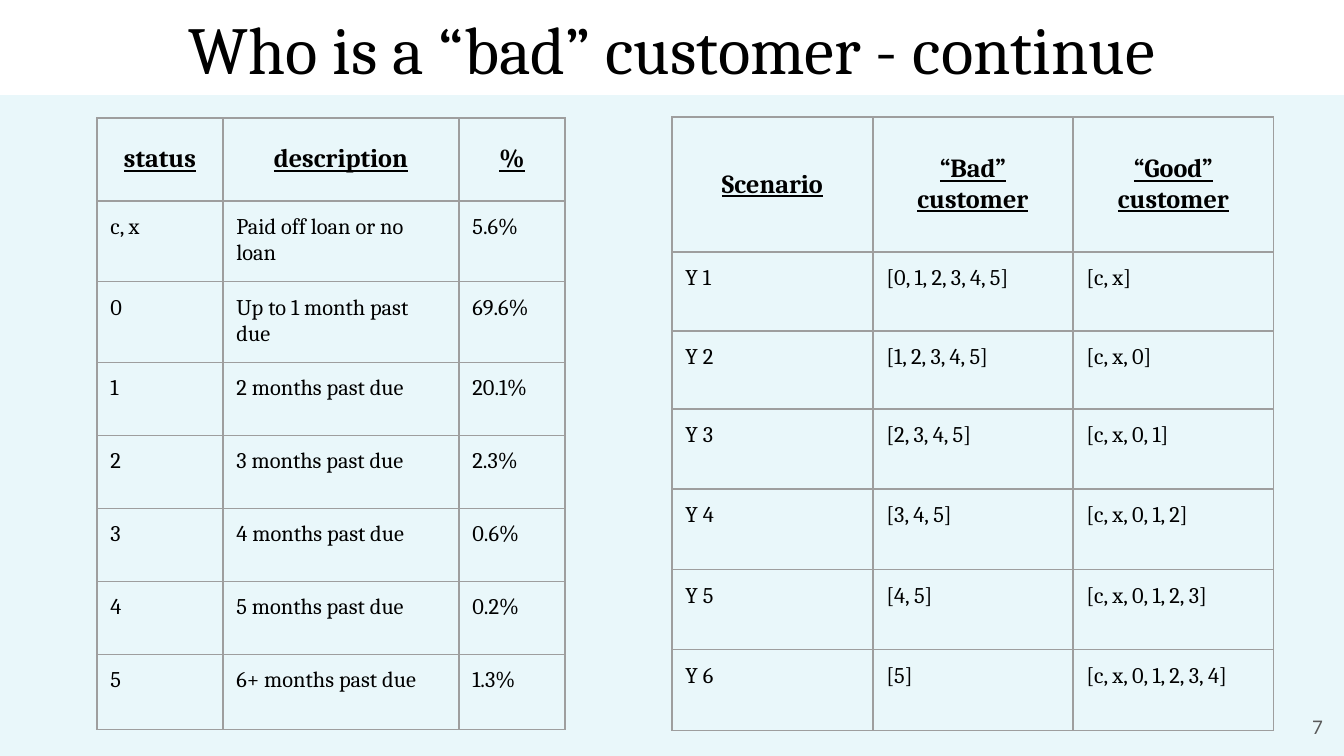
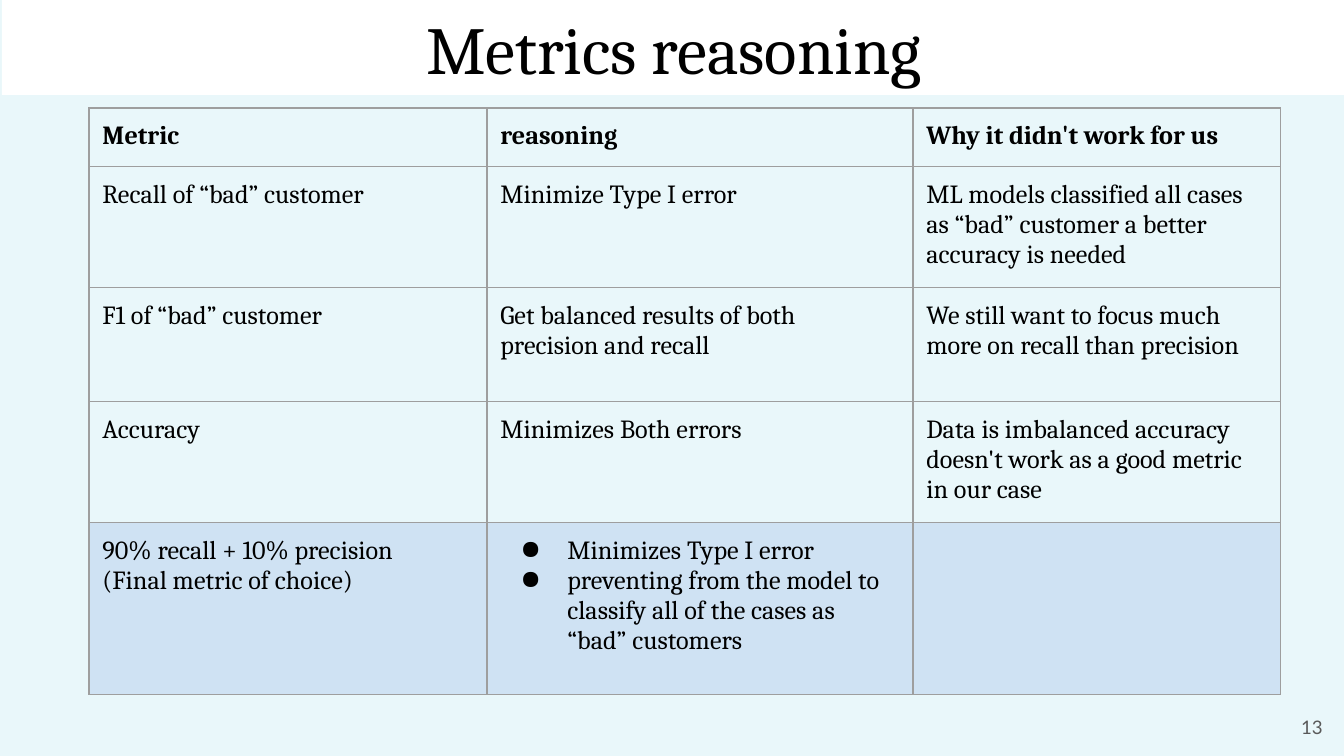
"""Builds two slides on choosing bad-customer labels and the metric to judge them."""
from dataclasses import dataclass

from lxml import etree
from pptx import Presentation
from pptx import util as u
from pptx.dml.color import RGBColor
from pptx.enum import shapes, text
from pptx.oxml.ns import qn

PX = 914400 / 134.4


@dataclass(frozen=True)
class Theme:
    backdrop: str = "9BDFEB"
    backdrop_alpha: int = 22000
    band: str = "FFFFFF"
    ink: str = "000000"
    muted: str = "595959"
    rule: str = "9E9E9E"
    chosen: str = "CFE2F3"
    serif: str = "Cambria"
    sans: str = "Lato"
    title: int = 36
    large: int = 14
    small: int = 12
    footer: int = 10


theme = Theme()


def px(*lengths):
    return [u.Emu(round(length * PX)) for length in lengths]


def style(paragraph, size, color=theme.ink, face=theme.serif, bold=False, underline=False):
    font = paragraph.font
    font.size, font.name, font.bold, font.underline = u.Pt(size), face, bold, underline
    font.color.rgb = RGBColor.from_string(color)


status_table = dict(
    at=(97, 118), columns=[126, 236, 106], heights=[83, 80, 80, 73, 73, 73, 73, 75],
    size=theme.small, centered_header=True, chosen_row=None,
    rows=[
        ["status", "description", "%"],
        ["c, x", "Paid off loan or no loan", "5.6%"],
        ["0", "Up to 1 month past due", "69.6%"],
        ["1", "2 months past due", "20.1%"],
        ["2", "3 months past due", "2.3%"],
        ["3", "4 months past due", "0.6%"],
        ["4", "5 months past due", "0.2%"],
        ["5", "6+ months past due", "1.3%"],
    ])
scenario_table = dict(
    at=(672, 117), columns=[201, 200, 201], heights=[135, 79, 78, 80, 81, 80, 81],
    size=theme.small, centered_header=True, chosen_row=None,
    rows=[
        ["Scenario", "“Bad” customer", "“Good” customer"],
        ["Y 1", "[0, 1, 2, 3, 4, 5]", "[c, x]"],
        ["Y 2", "[1, 2, 3, 4, 5]", "[c, x, 0]"],
        ["Y 3", "[2, 3, 4, 5]", "[c, x, 0, 1]"],
        ["Y 4", "[3, 4, 5]", "[c, x, 0, 1, 2]"],
        ["Y 5", "[4, 5]", "[c, x, 0, 1, 2, 3]"],
        ["Y 6", "[5]", "[c, x, 0, 1, 2, 3, 4]"],
    ])
metric_table = dict(
    at=(89, 108), columns=[398, 426, 368], heights=[58, 121, 114, 121, 172],
    size=theme.large, centered_header=False, chosen_row=4,
    rows=[
        ["Metric", "reasoning", "Why it didn't work for us"],
        ["Recall of “bad” customer", "Minimize Type I error",
         "ML models classified all cases as “bad” customer a better accuracy is needed"],
        ["F1 of “bad” customer", "Get balanced results of both precision and recall",
         "We still want to focus much more on recall than precision"],
        ["Accuracy", "Minimizes Both errors",
         "Data is imbalanced accuracy doesn't work as a good metric in our case"],
        ["90% recall + 10% precision\n(Final metric of choice)",
         ["Minimizes Type I error",
          "preventing from the model to classify all of the cases as “bad” customers"],
         ""],
    ])
pages = [
    ("Who is a “bad” customer - continue", 0, "7", [status_table, scenario_table]),
    ("Metrics reasoning", 2, "13", [metric_table]),
]

deck = Presentation()
deck.slide_width, deck.slide_height = px(1344, 756)

for heading, band_left, page_number, tables in pages:
    slide = deck.slides.add_slide(deck.slide_layouts[6])
    backdrop = slide.background.fill
    backdrop.solid()
    backdrop.fore_color.rgb = RGBColor.from_string(theme.backdrop)
    tint = slide.background._cSld.find(".//" + qn("a:srgbClr"))
    etree.SubElement(tint, qn("a:alpha"), val=str(theme.backdrop_alpha))

    band = slide.shapes.add_shape(shapes.MSO_SHAPE.RECTANGLE, *px(band_left, 0, 1344, 95))
    band.shadow.inherit = False
    band.fill.solid()
    band.fill.fore_color.rgb = RGBColor.from_string(theme.band)
    band.line.fill.background()
    frame = band.text_frame
    frame.text = heading
    frame.word_wrap = True
    frame.auto_size = text.MSO_AUTO_SIZE.SHAPE_TO_FIT_TEXT
    frame.vertical_anchor = text.MSO_ANCHOR.MIDDLE
    frame.paragraphs[0].alignment = text.PP_ALIGN.CENTER
    style(frame.paragraphs[0], theme.title)

    for content in tables:
        columns, heights, rows = content["columns"], content["heights"], content["rows"]
        table = slide.shapes.add_table(
            len(rows), len(columns), *px(*content["at"], sum(columns), sum(heights))).table
        table.first_row = table.horz_banding = False
        for column, width in zip(table.columns, px(*columns)):
            column.width = width
        for row, height in zip(table.rows, px(*heights)):
            row.height = height

        for r, row in enumerate(rows):
            is_header = r == 0
            is_centered = is_header and content["centered_header"]
            for c, words in enumerate(row):
                cell = table.cell(r, c)
                is_list = isinstance(words, list)
                cell.text = "\n".join(words) if is_list else words
                cell.margin_left = cell.margin_right = u.Inches(0.1)
                cell.margin_top = cell.margin_bottom = u.Inches(0.1)
                if is_centered:
                    cell.vertical_anchor = text.MSO_ANCHOR.MIDDLE
                for side in ("lnL", "lnR", "lnT", "lnB"):
                    edge = etree.SubElement(
                        cell._tc.get_or_add_tcPr(), qn("a:" + side), w=str(u.Pt(0.75)))
                    paint = etree.SubElement(edge, qn("a:solidFill"))
                    etree.SubElement(paint, qn("a:srgbClr"), val=theme.rule)
                if r == content["chosen_row"]:
                    cell.fill.solid()
                    cell.fill.fore_color.rgb = RGBColor.from_string(theme.chosen)
                else:
                    cell.fill.background()
                for paragraph in cell.text_frame.paragraphs:
                    if is_centered:
                        paragraph.alignment = text.PP_ALIGN.CENTER
                    if is_list:
                        layout = paragraph._p.get_or_add_pPr()
                        margin, indent = px(67, -47)
                        layout.set("marL", str(margin))
                        layout.set("indent", str(indent))
                        bullet_color = etree.SubElement(layout, qn("a:buClr"))
                        etree.SubElement(bullet_color, qn("a:srgbClr"), val=theme.ink)
                        etree.SubElement(layout, qn("a:buChar"), char="●")
                    style(paragraph, theme.large if is_header else content["size"],
                          bold=is_header, underline=is_centered)

    footer = slide.shapes.add_textbox(*px(1255, 698, 81, 58)).text_frame
    footer.text = page_number
    footer.word_wrap = True
    footer.vertical_anchor = text.MSO_ANCHOR.MIDDLE
    footer.margin_left = footer.margin_right = u.Inches(0.1)
    footer.margin_top = footer.margin_bottom = u.Inches(0.1)
    footer.paragraphs[0].alignment = text.PP_ALIGN.RIGHT
    style(footer.paragraphs[0], theme.footer, theme.muted, theme.sans)

deck.save("out.pptx")
